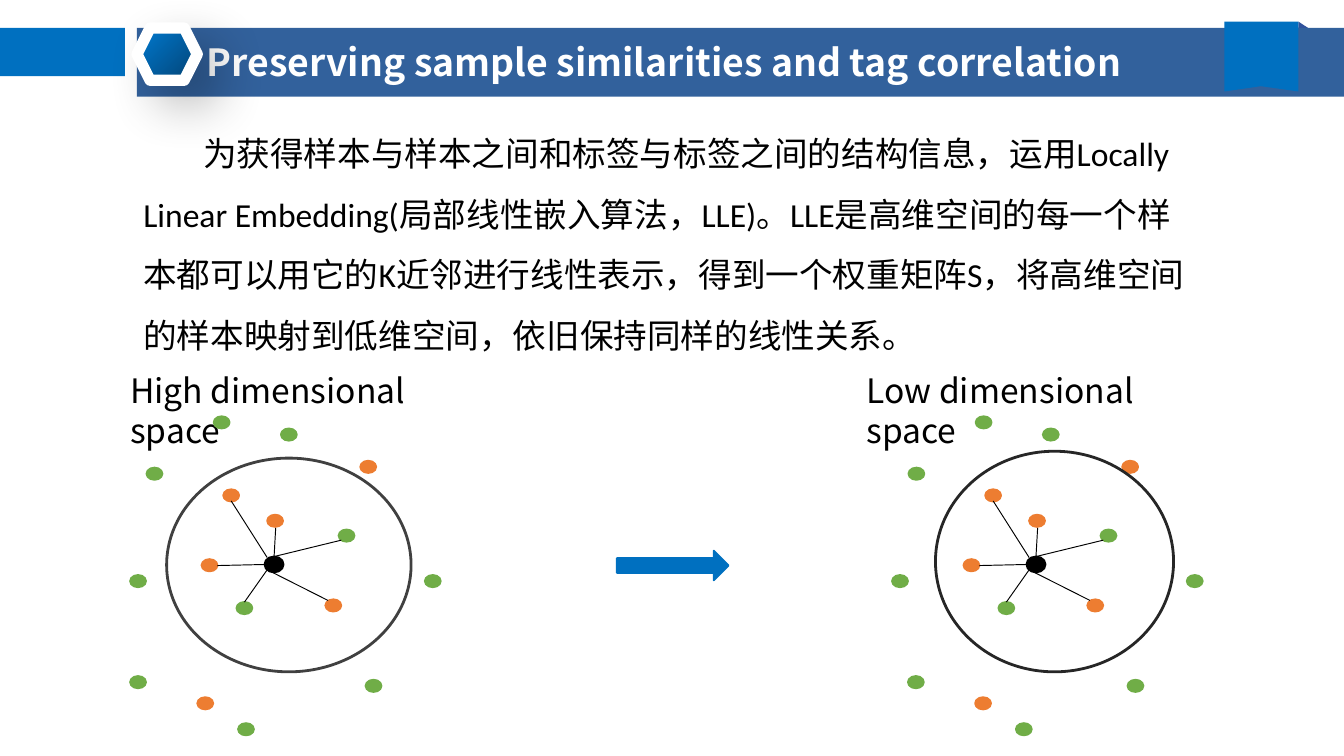
from dataclasses import dataclass
from lxml.etree import SubElement as Sub
from pptx import Presentation
from pptx.dml.color import RGBColor as Rgb
from pptx.enum.shapes import MSO_CONNECTOR as Link, MSO_SHAPE as Kind
from pptx.oxml.ns import qn
from pptx.util import Cm, Pt

HUES = {
    "blue": "0070C0", "band": "32619C", "navy": "0D348B", "white": "FFFFFF",
    "black": "000000", "orange": "ED7D31", "green": "70AD47",
    "gray": "404040", "dark": "262626", "silver": "D4D4D4",
    "sky": "007BD3", "deep": "034373",
}
SANS = "Noto Sans CJK SC"


@dataclass
class Box:
    x: float
    y: float
    w: float
    h: float

    def cm(self) -> tuple:
        return Cm(self.x), Cm(self.y), Cm(self.w), Cm(self.h)


@dataclass
class Dot:
    x: float
    y: float
    hue: str


@dataclass
class Spoke:
    x: float
    y: float
    end_x: float
    end_y: float


@dataclass
class Panel:
    label: str
    left: float
    shift: float
    low: float
    ring: Box
    edge: str


DOTS = [
    Dot(4.22, 9.25, "orange"), Dot(5.05, 9.73, "orange"),
    Dot(6.81, 8.71, "orange"), Dot(6.15, 11.33, "orange"),
    Dot(3.81, 10.57, "orange"), Dot(6.91, 12.85, "green"),
    Dot(5.31, 8.1, "green"), Dot(2.77, 8.84, "green"),
    Dot(8.03, 10.87, "green"), Dot(2.46, 10.87, "green"),
    Dot(4.04, 7.87, "green"), Dot(4.47, 11.38, "green"),
    Dot(6.4, 10.01, "green"),
]
LOW = [
    Dot(2.46, 12.78, "green"), Dot(4.5, 13.67, "green"),
    Dot(3.73, 13.18, "orange"),
]
SPOKES = [
    Spoke(4.37, 9.47, 5.05, 10.54), Spoke(5.21, 9.98, 5.18, 10.52),
    Spoke(6.45, 10.21, 5.18, 10.52), Spoke(6.2, 11.35, 5.05, 10.77),
    Spoke(4.62, 11.38, 5.05, 10.77), Spoke(4.11, 10.69, 5, 10.67),
]
PANELS = [
    Panel("High dimensional space", 2.21, 0, 0,
          Box(3.15, 8.66, 4.62, 4.04), "gray"),
    Panel("Low dimensional space", 16.13, 14.4, 14.7,
          Box(17.68, 8.53, 4.5, 4.17), "dark"),
]
BODY = (
    "为获得样本与样本之间和标签与标签之间的结构信息，运用Locally Linear Embedding"
    "(局部线性嵌入算法，LLE)。LLE是高维空间的每一个样本都可以用它的K近邻进行线性表示，"
    "得到一个权重矩阵S，将高维空间的样本映射到低维空间，依旧保持同样的线性关系。"
)


def rgb(hue: str) -> Rgb:
    return Rgb.from_string(HUES[hue])


def style(shape, fill: str = "", line: str = "", width: float = 1) -> None:
    shape.shadow.inherit = False
    if fill:
        shape.fill.solid()
        shape.fill.fore_color.rgb = rgb(fill)
    else:
        shape.fill.background()
    if line:
        shape.line.color.rgb = rgb(line)
        shape.line.width = Pt(width)
    else:
        shape.line.fill.background()


def draw(slide, kind, box: Box, fill: str = "", line: str = "",
         width: float = 1):
    shape = slide.shapes.add_shape(kind, *box.cm())
    style(shape, fill, line, width)
    return shape


def fade(shape, start: str, end: str, angle: int) -> None:
    shape.fill.gradient()
    shape.fill.gradient_angle = angle
    for stop, hue in zip(shape.fill.gradient_stops, (start, end)):
        stop.color.rgb = rgb(hue)


def shade(shape, alpha: int, blur: int, dist: int, angle: int) -> None:
    effects = shape._element.spPr.find(qn("a:effectLst"))
    drop = Sub(effects, qn("a:outerShdw"), blurRad=str(Pt(blur)),
               dist=str(Pt(dist)), dir=str(angle * 60000),
               algn="tl", rotWithShape="0")
    color = Sub(drop, qn("a:srgbClr"), val=HUES["black"])
    Sub(color, qn("a:alpha"), val=str(alpha * 1000))


def write(slide, box: Box, text: str, size: int, hue: str = "black",
          face: str = SANS, bold: bool = False):
    frame = slide.shapes.add_textbox(*box.cm()).text_frame
    frame.word_wrap = True
    frame.text = text
    para = frame.paragraphs[0]
    run = para.runs[0]
    run.font.name = face
    run.font.size = Pt(size)
    run.font.bold = bold
    run.font.color.rgb = rgb(hue)
    Sub(run.font._element, qn("a:ea"), typeface=SANS)
    return para


def banner(slide) -> None:
    fold = draw(slide, Kind.RIGHT_TRIANGLE, Box(24.54, 0.41, 0.23, 0.15), "navy")
    tint = fold._element.spPr.find(qn("a:solidFill"))[0]
    Sub(tint, qn("a:alpha"), val="85000")
    shade(fold, 38, 0, 3, 90)
    draw(slide, Kind.RECTANGLE, Box(0, 0.53, 2.36, 0.91), "blue")
    draw(slide, Kind.RECTANGLE, Box(2.59, 0.53, 22.81, 1.3), "band")
    pen = slide.shapes.build_freeform(Cm(23.14), Cm(1.73))
    pen.add_line_segments([
        (Cm(x), Cm(y)) for x, y in
        [(23.14, 0.41), (24.54, 0.41), (24.54, 1.73), (23.83, 1.63)]
    ])
    style(pen.convert_to_shape(), "blue")
    write(slide, Box(3.66, 0.61, 22.12, 1.12),
          "Preserving sample similarities and tag correlation",
          20, "white", bold=True)
    badge = Box(2.59, 0.53, 1.14, 0.99)
    base = draw(slide, Kind.HEXAGON, badge)
    fade(base, "silver", "white", 135)
    shade(base, 40, 30, 15, 45)
    face = draw(slide, Kind.HEXAGON, badge, line="white", width=6)
    fade(face, "sky", "deep", 315)


def plot(slide, panel: Panel) -> None:
    write(slide, Box(panel.left, 6.86, 7.14, 1.02), panel.label, 18)
    draw(slide, Kind.OVAL, Box(5 + panel.shift, 10.52, 0.36, 0.3),
         "black", "black")
    for dots, shift in ((DOTS, panel.shift), (LOW, panel.low)):
        for dot in dots:
            draw(slide, Kind.OVAL, Box(dot.x + shift, dot.y, 0.3, 0.23),
                 dot.hue, dot.hue)
    draw(slide, Kind.OVAL, panel.ring, line=panel.edge, width=1.5)
    for spoke in SPOKES:
        line = slide.shapes.add_connector(
            Link.STRAIGHT, Cm(spoke.x + panel.shift), Cm(spoke.y),
            Cm(spoke.end_x + panel.shift), Cm(spoke.end_y))
        line.line.color.rgb = rgb("black")
        line.line.width = Pt(0.5)
        Sub(line._element.spPr, qn("a:effectLst"))


def main() -> None:
    deck = Presentation()
    deck.slide_width, deck.slide_height = Cm(25.4), Cm(14.29)
    slide = deck.slides.add_slide(deck.slide_layouts[6])
    banner(slide)
    para = write(slide, Box(2.46, 2.01, 20.27, 4.75), BODY, 18, face="Calibri")
    para.line_spacing = 1.5
    para._p.get_or_add_pPr().set("indent", str(Cm(1.13)))
    for panel in PANELS:
        plot(slide, panel)
    draw(slide, Kind.RIGHT_ARROW, Box(11.66, 10.41, 2.11, 0.56), "blue", "blue")
    deck.save("out.pptx")


if __name__ == "__main__":
    main()
